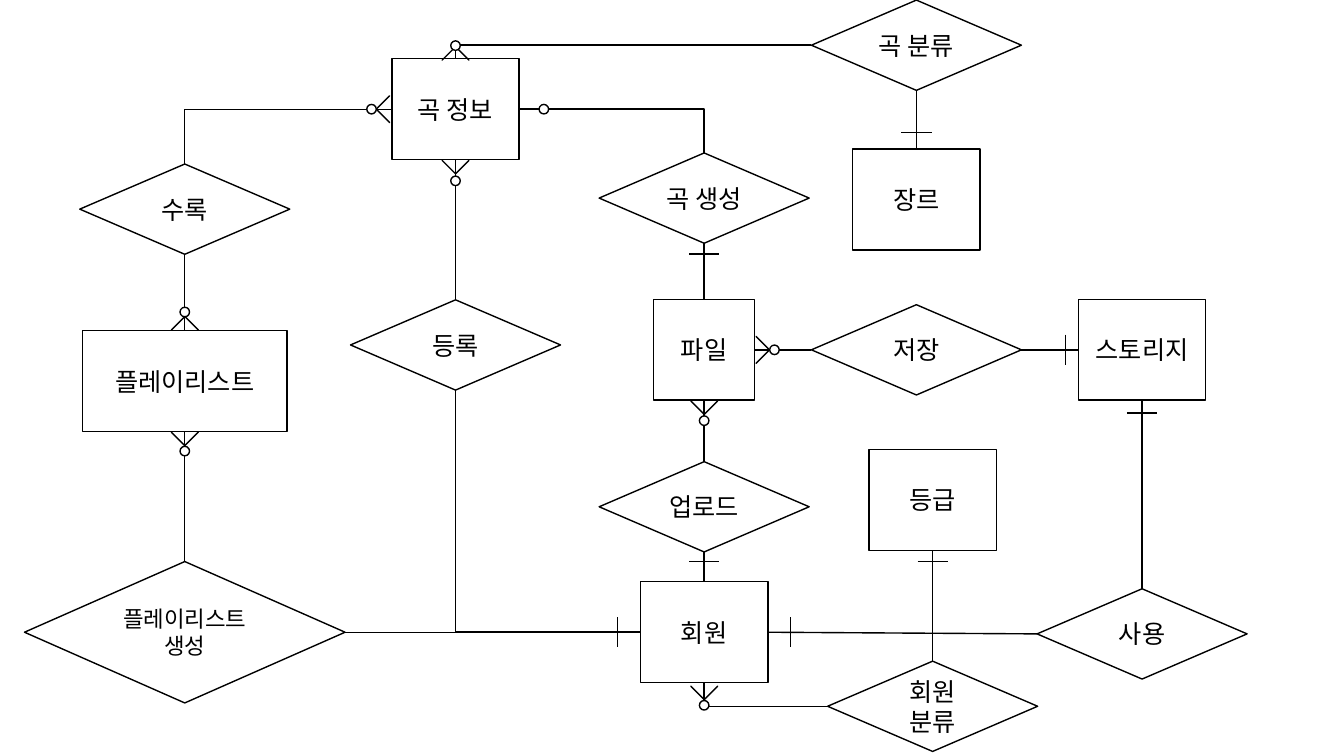
import dataclasses
import enum

import lxml.etree
import pptx
import pptx.dml.color
import pptx.enum.shapes
import pptx.enum.text
import pptx.oxml.ns
import pptx.util

Pt = pptx.util.Pt
qn = pptx.oxml.ns.qn
Shape = pptx.enum.shapes.MSO_SHAPE
Wire = pptx.enum.shapes.MSO_CONNECTOR

FONT = "Noto Sans CJK KR"
COLORS = {"ink": "000000", "paper": "FFFFFF"}
FOOT_SIZE = 13.6
RING_SIZE = 6.8
BAR_LENGTH = 21.6
PLAYLIST_X, SONG_X, FILE_X, GENRE_X, GRADE_X, STORAGE_X = 132, 325.4, 503, 654.6, 666.2, 815.8
SONG_Y, FILE_Y, MEMBER_Y = 78, 249.9, 451.6


class Side(enum.Enum):
    TOP = (0, 0, -1, 45)
    LEFT = (1, -1, 0, 315)
    BOTTOM = (2, 0, 1, 225)
    RIGHT = (3, 1, 0, 135)

    def __init__(self, site: int, dx: int, dy: int, foot_angle: int) -> None:
        self.site, self.dx, self.dy, self.foot_angle = site, dx, dy, foot_angle


@dataclasses.dataclass(frozen=True)
class Node:
    label: str
    x: float
    y: float
    width: float
    height: float
    outline: Shape
    text_size: float = 18

    def point(self, side: Side, gap: float = 0) -> tuple[float, float]:
        return (self.x + side.dx * (self.width / 2 + gap),
                self.y + side.dy * (self.height / 2 + gap))


@dataclasses.dataclass(frozen=True)
class Link:
    start: Node
    start_side: Side
    end: Node
    end_side: Side
    bent: bool = False


@dataclasses.dataclass(frozen=True)
class Mark:
    node: Node
    side: Side
    gap: float


@dataclasses.dataclass(frozen=True)
class Many(Mark):
    foot_gap: float = 0.5


def entity(label: str, x: float, y: float, width: float = 91) -> Node:
    return Node(label, x, y, width, 72, Shape.RECTANGLE)


def relation(label: str, x: float, y: float) -> Node:
    return Node(label, x, y, 150, 64.5, Shape.DIAMOND)


file = entity("파일", FILE_X, FILE_Y, 72)
storage = entity("스토리지", STORAGE_X, FILE_Y)
song = entity("곡 정보", SONG_X, SONG_Y)
member = entity("회원", FILE_X, MEMBER_Y)
playlist = entity("플레이리스트", PLAYLIST_X, 272.2, 146)
grade = entity("등급", GRADE_X, 357.1)
genre = entity("장르", GENRE_X, 142.5)
register = relation("등록", SONG_X, 246.4)
upload = relation("업로드", FILE_X, 362)
create_song = relation("곡 생성", FILE_X, 141.5)
use = relation("사용", STORAGE_X, 452.8)
store = relation("저장", GENRE_X, FILE_Y)
include = relation("수록", PLAYLIST_X, 149.4)
create_playlist = Node("플레이리스트\n생성", PLAYLIST_X, MEMBER_Y, 229, 101, Shape.DIAMOND, 16)
classify_member = relation("회원 분류", GRADE_X, 504.5)
classify_song = relation("곡 분류", GENRE_X, 32.3)

NODES = [file, storage, song, member, playlist, grade, genre, register, upload, create_song,
         use, store, include, create_playlist, classify_member, classify_song]

LINKS = [
    Link(member, Side.LEFT, register, Side.BOTTOM, bent=True),
    Link(song, Side.RIGHT, create_song, Side.TOP, bent=True),
    Link(song, Side.LEFT, include, Side.TOP, bent=True),
    Link(classify_member, Side.LEFT, member, Side.BOTTOM, bent=True),
    Link(classify_song, Side.LEFT, song, Side.TOP, bent=True),
    Link(upload, Side.TOP, file, Side.BOTTOM),
    Link(upload, Side.BOTTOM, member, Side.TOP),
    Link(register, Side.TOP, song, Side.BOTTOM),
    Link(file, Side.TOP, create_song, Side.BOTTOM),
    Link(member, Side.RIGHT, use, Side.LEFT),
    Link(use, Side.TOP, storage, Side.BOTTOM),
    Link(store, Side.RIGHT, storage, Side.LEFT),
    Link(store, Side.LEFT, file, Side.RIGHT),
    Link(include, Side.BOTTOM, playlist, Side.TOP),
    Link(playlist, Side.BOTTOM, create_playlist, Side.TOP),
    Link(create_playlist, Side.RIGHT, member, Side.LEFT),
    Link(grade, Side.BOTTOM, classify_member, Side.TOP),
    Link(classify_song, Side.BOTTOM, genre, Side.TOP),
]

MANY_ENDS = [
    Many(member, Side.BOTTOM, 16.2, 2.5),
    Many(song, Side.TOP, 9.4, -1),
    Many(song, Side.BOTTOM, 15.2),
    Many(song, Side.LEFT, 14.5, 1.5),
    Many(file, Side.RIGHT, 14.2, 1),
    Many(file, Side.BOTTOM, 14.6),
    Many(playlist, Side.TOP, 13.3),
    Many(playlist, Side.BOTTOM, 14),
]
OPTIONAL_ENDS = [Mark(song, Side.RIGHT, 17.6)]
ONE_ENDS = [
    Mark(member, Side.RIGHT, 16.2),
    Mark(member, Side.LEFT, 16.6),
    Mark(member, Side.TOP, 14.6),
    Mark(create_song, Side.BOTTOM, 7.6),
    Mark(genre, Side.TOP, 12),
    Mark(storage, Side.LEFT, 9.3),
    Mark(storage, Side.BOTTOM, 9),
    Mark(grade, Side.BOTTOM, 8),
]


def color(name: str) -> pptx.dml.color.RGBColor:
    return pptx.dml.color.RGBColor.from_string(COLORS[name])


def add_outline(shapes, outline: Shape, x: float, y: float, width: float, height: float):
    shape = shapes.add_shape(outline, Pt(x - width / 2), Pt(y - height / 2), Pt(width), Pt(height))
    shape.shadow.inherit = False
    shape.fill.solid()
    shape.fill.fore_color.rgb = color("paper")
    shape.line.color.rgb = color("ink")
    shape.line.width = Pt(1)
    return shape


def add_node(shapes, node: Node):
    shape = add_outline(shapes, node.outline, node.x, node.y, node.width, node.height)
    frame = shape.text_frame
    frame.word_wrap = True
    frame.vertical_anchor = pptx.enum.text.MSO_ANCHOR.MIDDLE
    frame.text = node.label
    for paragraph in frame.paragraphs:
        paragraph.alignment = pptx.enum.text.PP_ALIGN.CENTER
        paragraph.font.size = Pt(node.text_size)
        paragraph.font.color.rgb = color("ink")
        paragraph.font.name = FONT
        defaults = paragraph._p.pPr.find(qn("a:defRPr"))
        lxml.etree.SubElement(defaults, qn("a:ea"), typeface=FONT)
    return shape


def add_line(shapes, start: tuple[float, float], end: tuple[float, float], kind: Wire):
    line = shapes.add_connector(kind, *(Pt(value) for value in (*start, *end)))
    line.line.color.rgb = color("ink")
    line.line.width = Pt(1)
    lxml.etree.SubElement(line._element.spPr, qn("a:effectLst"))
    return line


def add_link(shapes, link: Link, drawn: dict) -> None:
    kind = Wire.ELBOW if link.bent else Wire.STRAIGHT
    line = add_line(shapes, link.start.point(link.start_side), link.end.point(link.end_side), kind)
    if link.bent:
        line._element.spPr.find(qn("a:prstGeom")).set("prst", "bentConnector2")
    else:
        line.begin_connect(drawn[link.start], link.start_side.site)
        line.end_connect(drawn[link.end], link.end_side.site)


def add_foot(shapes, mark: Many) -> None:
    center = mark.node.point(mark.side, mark.foot_gap)
    foot = add_outline(shapes, Shape.HALF_FRAME, *center, FOOT_SIZE, FOOT_SIZE)
    foot.adjustments[0] = foot.adjustments[1] = 0
    foot.rotation = mark.side.foot_angle


def add_bar(shapes, mark: Mark) -> None:
    x, y = mark.node.point(mark.side, mark.gap)
    dx, dy = abs(mark.side.dy) * BAR_LENGTH / 2, abs(mark.side.dx) * BAR_LENGTH / 2
    add_line(shapes, (x - dx, y - dy), (x + dx, y + dy), Wire.STRAIGHT)


def main() -> None:
    deck = pptx.Presentation()
    deck.slide_width, deck.slide_height = Pt(960), Pt(540)
    shapes = deck.slides.add_slide(deck.slide_layouts[6]).shapes
    drawn = {node: add_node(shapes, node) for node in NODES}
    for link in LINKS:
        add_link(shapes, link, drawn)
    for mark in MANY_ENDS:
        add_foot(shapes, mark)
    for mark in MANY_ENDS + OPTIONAL_ENDS:
        add_outline(shapes, Shape.OVAL, *mark.node.point(mark.side, mark.gap), RING_SIZE, RING_SIZE)
    for mark in ONE_ENDS:
        add_bar(shapes, mark)
    deck.save("out.pptx")


if __name__ == "__main__":
    main()
